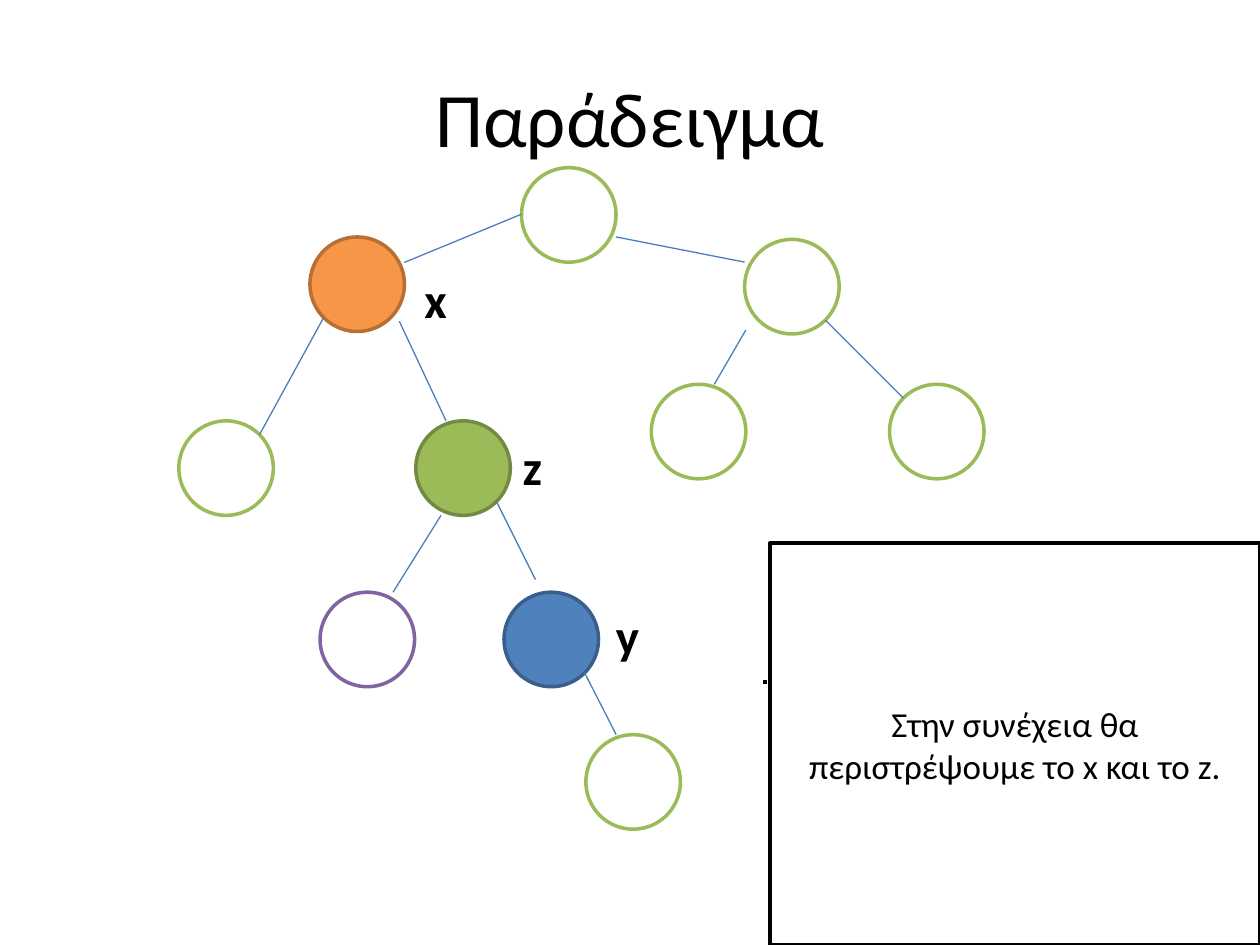
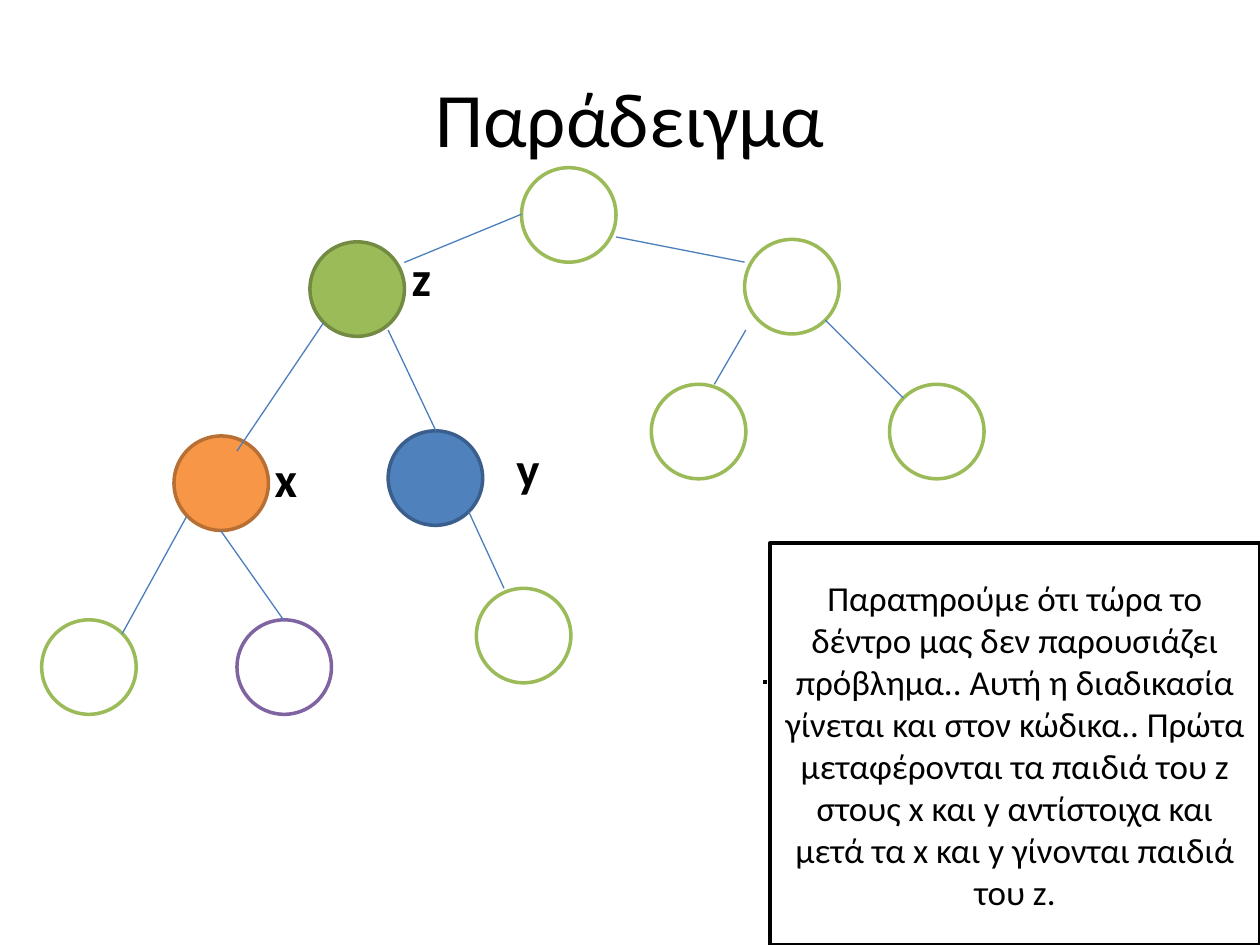
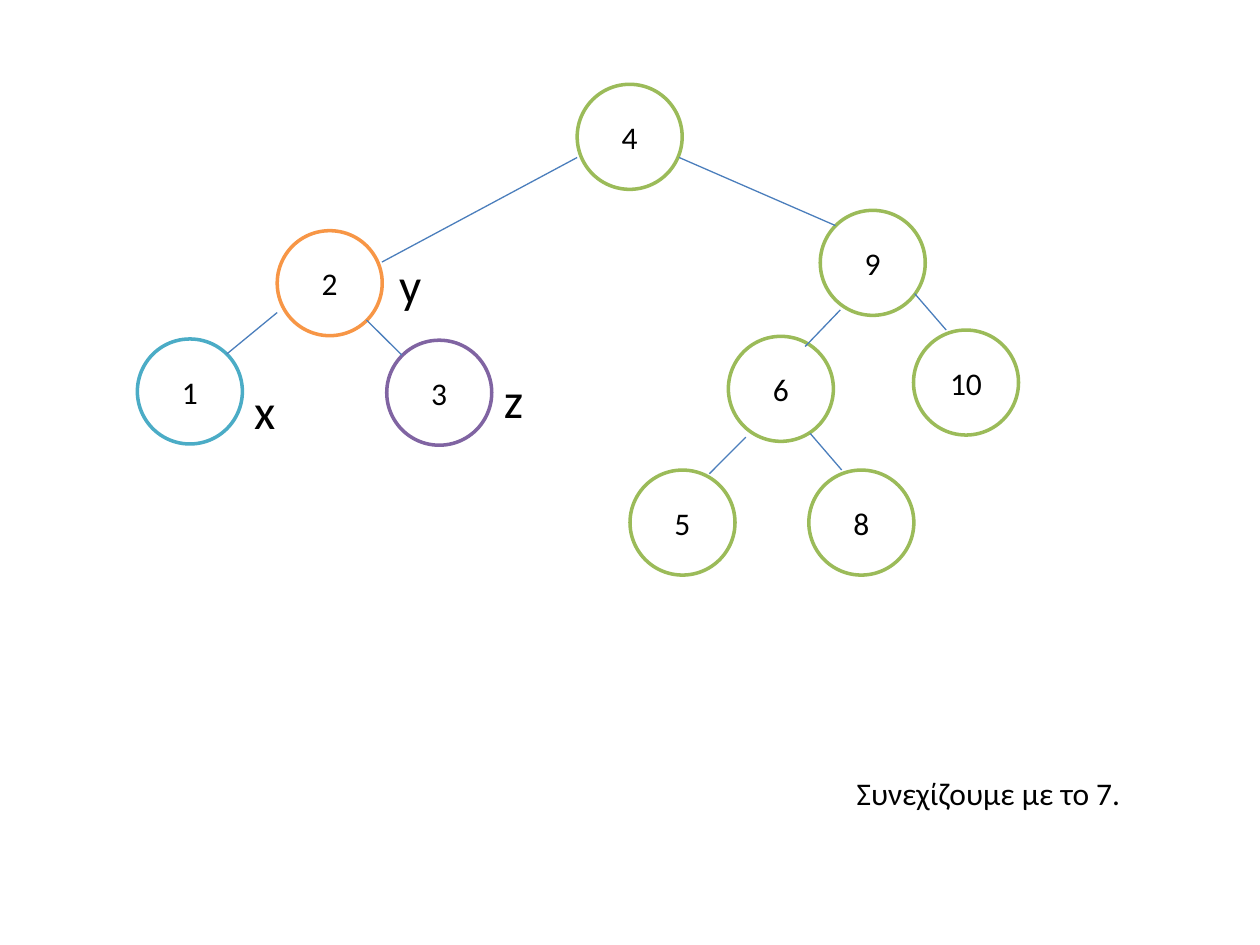
import pptx
import pptx.util
import pptx.dml.color
import pptx.enum.shapes
import pptx.enum.text
import pptx.oxml

Pt = pptx.util.Pt
SHAPE = pptx.enum.shapes.MSO_SHAPE
ALIGN = pptx.enum.text.PP_ALIGN
ANCHOR = pptx.enum.text.MSO_ANCHOR

COLORS = {
    "white": "FFFFFF", "black": "000000", "edge": "4B7EBC",
    "green": "9BBB59", "dark_green": "738A42",
    "orange": "F79646", "dark_orange": "B76F34",
    "blue": "4F81BD", "dark_blue": "3A5F8C",
    "purple": "8064A2", "teal": "4BACC6",
}
TITLE_ONLY, BLANK = 5, 6

RIGHT_SUBTREE = [(298, 95.8), (425.5, 136.8), (372.2, 219.6), (508.3, 219.6)]
RIGHT_EDGES = [
    (298, 122.4, 231, 150), (425.5, 149.8, 352, 135.4),
    (426.2, 188.6, 408.2, 219.6), (471.6, 182.9, 516.2, 227.5),
]
KEY_COLORS = {
    "x": ("orange", "dark_orange"),
    "y": ("blue", "dark_blue"),
    "z": ("green", "dark_green"),
}

ROTATIONS = [
    {
        "keys": {"x": (177.1, 135.4), "y": (288, 338.4), "z": (237.6, 240.5)},
        "labels": {"x": (235.4, 150.5), "y": (344.9, 342.7), "z": (291.6, 246.2)},
        "leaves": [(102.2, 240.5), (334.8, 419.8)],
        "purple": (182.9, 338.4),
        "edges": [
            (148.3, 248.4, 185, 181.4), (254.9, 240.5, 228.2, 183.6),
            (334.1, 384.5, 352.1, 419.8), (306, 331.2, 283.7, 286.6),
            (252, 294.5, 224.6, 338.4),
        ],
        "note": "Στην συνέχεια θα περιστρέψουμε το x και το z.",
    },
    {
        "keys": {"x": (99.4, 249.1), "y": (221.8, 246.2), "z": (177.1, 138.2)},
        "labels": {"x": (149.8, 252.7), "y": (288, 247), "z": (228.2, 138.2)},
        "leaves": [(23.8, 354.2), (272.2, 336.2)],
        "purple": (135.4, 354.2),
        "edges": [
            (69.8, 362.2, 106.6, 295.2), (249.1, 246.2, 221.8, 188.6),
            (267.8, 292.3, 288, 336.2), (126, 303.1, 162, 354.2),
            (185, 184.3, 135.4, 257.8),
        ],
        "note": "Παρατηρούμε ότι τώρα το δέντρο μας δεν παρουσιάζει πρόβλημα.. "
                "Αυτή η διαδικασία γίνεται και στον κώδικα.. Πρώτα μεταφέρονται "
                "τα παιδιά του z στους x και y αντίστοιχα και μετά τα x και y "
                "γίνονται παιδιά του z.",
    },
]

NUMBERED_NODES = [
    ("4", 329.8, 48.2, "green"), ("2", 158.4, 131.8, "orange"),
    ("9", 468.7, 120.2, "green"), ("3", 221, 194.4, "purple"),
    ("10", 522, 188.6, "green"), ("6", 416.2, 192.2, "green"),
    ("5", 360, 268.6, "green"), ("8", 462.2, 268.6, "green"),
    ("1", 78.5, 193.7, "teal"),
]
NUMBERED_EDGES = [
    (329.8, 90, 218.2, 149.8), (388.1, 90, 477.4, 128.9),
    (229.7, 203, 209.5, 182.9), (540.7, 188.6, 522.7, 167.8),
    (480.2, 177.1, 460.1, 198), (426.2, 249.8, 405.4, 270.7),
    (481, 268.6, 463, 247.7), (129.6, 202.3, 158.4, 178.6),
]
NUMBERED_LABELS = {"x": (138.2, 213.8), "y": (221, 141.8), "z": (280.8, 207.4)}


def rgb(name):
    """Return the named palette colour."""
    return pptx.dml.color.RGBColor.from_string(COLORS[name])


def set_text(tf, text, size=18, bold=False, align=ALIGN.LEFT, anchor=ANCHOR.TOP):
    """Write one formatted paragraph into a text frame."""
    tf.word_wrap = True
    tf.vertical_anchor = anchor
    p = tf.paragraphs[0]
    p.alignment = align
    r = p.add_run()
    r.text = text
    r.font.name = "Calibri"
    r.font.size = Pt(size)
    r.font.bold = bold
    r.font.color.rgb = rgb("black")


class Deck:
    """Holds the presentation, its style and the current slide."""

    def __init__(self):
        """Start an empty 4:3 presentation."""
        self.prs = pptx.Presentation()
        self.prs.slide_width, self.prs.slide_height = Pt(720), Pt(540)

    def add_slide(self, title=None):
        """Start a slide, with a title if one is given."""
        layout = self.prs.slide_layouts[TITLE_ONLY if title else BLANK]
        self.s = self.prs.slides.add_slide(layout)
        if title:
            sp = self.s.shapes.title
            sp.left, sp.top, sp.width, sp.height = Pt(36), Pt(21.6), Pt(648), Pt(90)
            set_text(sp.text_frame, title, size=44, align=ALIGN.CENTER,
                     anchor=ANCHOR.MIDDLE)

    def shape(self, kind, x, y, w, h, fill, line, text="", size=18):
        """Add an outlined shape with optional centred text."""
        sp = self.s.shapes.add_shape(kind, Pt(x), Pt(y), Pt(w), Pt(h))
        sp.shadow.inherit = False
        sp.fill.solid()
        sp.fill.fore_color.rgb = rgb(fill)
        sp.line.color.rgb = rgb(line)
        sp.line.width = Pt(2)
        if text:
            set_text(sp.text_frame, text, size=size, align=ALIGN.CENTER,
                     anchor=ANCHOR.MIDDLE)
        return sp

    def node(self, x, y, line="green", fill="white", size=54, text=""):
        """Add a round tree node."""
        self.shape(SHAPE.OVAL, x, y, size, size, fill, line, text)

    def edges(self, edges):
        """Add the straight tree edges."""
        for edge in edges:
            cxn = self.s.shapes.add_connector(
                pptx.enum.shapes.MSO_CONNECTOR.STRAIGHT, *map(Pt, edge))
            cxn.line.color.rgb = rgb("edge")
            cxn.line.width = Pt(0.75)
            pptx.oxml.ns.qn("a:effectLst")
            cxn._element.spPr.append(pptx.oxml.parse_xml(
                '<a:effectLst xmlns:a='
                '"http://schemas.openxmlformats.org/drawingml/2006/main"/>'))

    def text(self, text, x, y, w, h, **fmt):
        """Add a text box."""
        sp = self.s.shapes.add_textbox(Pt(x), Pt(y), Pt(w), Pt(h))
        set_text(sp.text_frame, text, **fmt)

    def labels(self, labels, bold):
        """Add the letters beside the key nodes."""
        for letter, (x, y) in labels.items():
            self.text(letter, x, y, 54, 41, size=28, bold=bold)

    def callout(self, text):
        """Add the note in the lower right corner."""
        sp = self.shape(SHAPE.LINE_CALLOUT_1, 440, 310.3, 280, 229.7,
                        "white", "black", text, size=20)
        for i, value in enumerate((0.35, -0.01, 0.34, -0.01)):
            sp.adjustments[i] = value

    def rotation(self, keys, labels, leaves, purple, edges, note):
        """Add a slide with one state of the rotated tree."""
        self.add_slide("Παράδειγμα")
        for x, y in RIGHT_SUBTREE + leaves:
            self.node(x, y)
        self.node(*purple, line="purple")
        for letter, (x, y) in keys.items():
            fill, line = KEY_COLORS[letter]
            self.node(x, y, line, fill)
        self.edges(RIGHT_EDGES + edges)
        self.labels(labels, bold=True)
        self.callout(note)

    def numbered_tree(self):
        """Add the slide with the numbered tree."""
        self.add_slide()
        for number, x, y, line in NUMBERED_NODES:
            self.node(x, y, line, size=60, text=number)
        self.edges(NUMBERED_EDGES)
        self.labels(NUMBERED_LABELS, bold=False)
        self.text("Συνεχίζουμε με το 7.", 482.4, 438.5, 228, 29)


def main():
    """Build and save the slides."""
    deck = Deck()
    for state in ROTATIONS:
        deck.rotation(**state)
    deck.numbered_tree()
    deck.prs.save("out.pptx")


if __name__ == "__main__":
    main()
